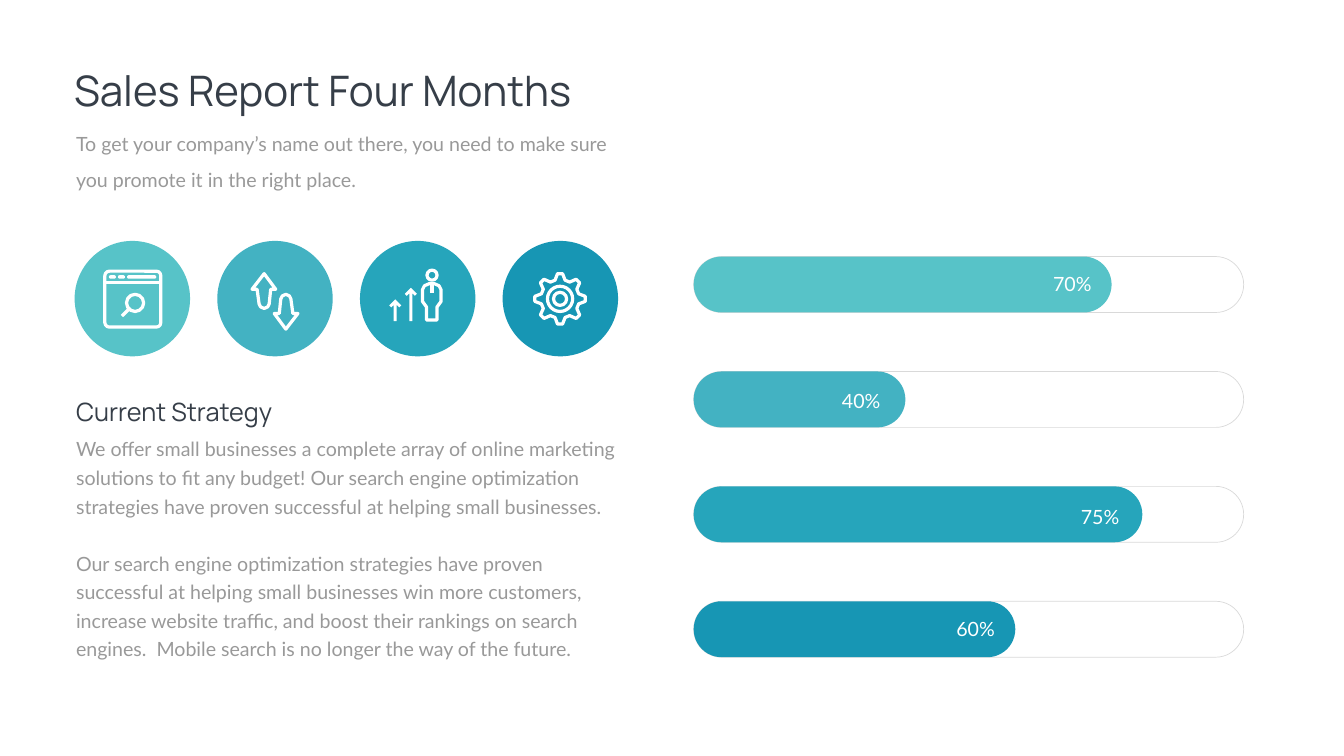
from math import cos, sin, pi
from lxml.etree import SubElement
from pptx import Presentation
from pptx.dml.color import RGBColor
from pptx.enum.shapes import MSO_CONNECTOR as LINK, MSO_SHAPE as KIND
from pptx.enum.text import MSO_AUTO_SIZE as FIT, PP_ALIGN as ALIGN
from pptx.oxml.ns import qn
from pptx.util import Inches, Pt

DARK = RGBColor(0x36, 0x3E, 0x48)
GREY = RGBColor(0x99, 0x99, 0x99)
RULE = RGBColor(0xD9, 0xD9, 0xD9)
WHITE = RGBColor(0xFF, 0xFF, 0xFF)
TEALS = [RGBColor(0x57, 0xC3, 0xC8), RGBColor(0x43, 0xB2, 0xC2),
         RGBColor(0x26, 0xA5, 0xBB), RGBColor(0x17, 0x96, 0xB4)]

# Content
HEAD = {"name": "Manrope", "size": Pt(60), "color": DARK}
SUB = {"name": "Manrope", "size": Pt(36), "color": DARK}
BODY = {"name": "Lato", "size": Pt(28), "color": GREY}
LABEL = {"name": "Lato", "size": Pt(28), "color": WHITE}
INTRO = ("To get your company’s name out there, you need to make sure "
         "you promote it in the right place.")
PLAN = [
    "We offer small businesses a complete array of online marketing solutions "
    "to fit any budget! Our search engine optimization strategies have proven "
    "successful at helping small businesses.",
    "Our search engine optimization strategies have proven successful at "
    "helping small businesses win more customers, increase website traffic, "
    "and boost their rankings on search engines.  Mobile search is no longer "
    "the way of the future.",
]
TEXTS = [  # box, paragraphs, font, paragraph format, wrap
    ((1.37, 1.23, 13.95, 1.11), ["Sales Report Four Months"], HEAD, {}, True),
    ((1.41, 2.34, 11.21, 1.42), [INTRO], BODY, {"line_spacing": 1.5}, True),
    ((1.41, 7.82, 4.43, 0.71), ["Current Strategy"], SUB, {}, False),
    ((1.41, 8.53, 10.91, 4.64), PLAN, BODY, {"line_spacing": Pt(40.8)}, True),
]
BARS = [  # label, bar width, label left, label top
    ("70%", 8.29, 20.46, 5.35),
    ("40%", 4.2, 16.27, 7.66),
    ("75%", 8.9, 21.01, 9.96),
    ("60%", 6.38, 18.54, 12.19),
]
BAR_X, BAR_Y, BAR_W, BAR_H, BAR_STEP = 13.76, 5.09, 10.91, 1.11, 2.28
DISC_X, DISC_Y, DISC, DISC_STEP = 1.48, 4.78, 2.29, 2.83
STROKE = 4.6

# Icon outlines
SHAFT = [(5.24, 5.43), (5.47, 5.74), (5.37, 5.74), (5.34, 6.03), (5.31, 6.09),
         (5.24, 6.12), (5.17, 6.09), (5.14, 6.03), (5.1, 5.74), (5, 5.74)]
COAT = [(8.51, 5.63), (8.62, 5.63), (8.71, 5.67), (8.75, 5.75), (8.75, 5.98),
        (8.67, 6.09), (8.67, 6.35), (8.46, 6.35), (8.46, 6.09), (8.38, 5.98),
        (8.38, 5.75), (8.42, 5.67)]
RISE = [(8.15, 5.71, 0.66), (7.84, 5.94, 0.43)]  # tip and height
TOOTH = [(-0.1, -0.37), (-0.05, -0.5), (0.05, -0.5), (0.1, -0.37)]
PILLS = [(2.16, 0.14), (2.34, 0.14), (2.52, 0.58)]  # left and width
RINGS = [(2.68, 6.01, 0.17), (8.57, 5.46, 0.1),
         (11.11, 5.93, 0.25), (11.11, 5.93, 0.13)]  # centre and radius

deck = Presentation()
deck.slide_width, deck.slide_height = Inches(26.66), Inches(15)
shapes = deck.slides.add_slide(deck.slide_layouts[6]).shapes


def paint(shape, fill=None, line=None, width=1):
    shape.shadow.inherit = False
    if fill is None:
        shape.fill.background()
    else:
        shape.fill.solid()
        shape.fill.fore_color.rgb = fill
    if line is None:
        shape.line.fill.background()
    else:
        shape.line.color.rgb = line
        shape.line.width = Pt(width)
        SubElement(shape._element.spPr.find(qn("a:ln")), qn("a:round"))


def add(kind, box, curve=None, **look):
    shape = shapes.add_shape(kind, *map(Inches, box))
    if curve is not None:
        shape.adjustments[0] = curve
    paint(shape, **look)


def trace(points, **look):
    first, *rest = [(Inches(x), Inches(y)) for x, y in points]
    pen = shapes.build_freeform(*first, scale=1.0)
    pen.add_line_segments(rest, close=True)
    paint(pen.convert_to_shape(), **look)


def rule(*ends):
    line = shapes.add_connector(LINK.STRAIGHT, *map(Inches, ends))
    line.line.color.rgb = WHITE
    line.line.width = Pt(STROKE)
    SubElement(line._element.spPr, qn("a:effectLst"))


def write(box, texts, font, form, wrap=True):
    frame = shapes.add_textbox(*map(Inches, box)).text_frame
    frame.word_wrap = wrap
    frame.auto_size = FIT.SHAPE_TO_FIT_TEXT
    for i, text in enumerate(texts):
        para = frame.add_paragraph() if i else frame.paragraphs[0]
        for key, value in form.items():
            setattr(para, key, value)
        if i:
            para.space_before = Pt(40.8)
        run = para.add_run()
        run.text = text
        for key, value in font.items():
            if key == "color":
                run.font.color.rgb = value
            else:
                setattr(run.font, key, value)


# Left column text
for item in TEXTS:
    write(*item)

# Progress bars
for i, (label, width, left, top) in enumerate(BARS):
    y = BAR_Y + i * BAR_STEP
    add(KIND.ROUNDED_RECTANGLE, (BAR_X, y, BAR_W, BAR_H), 0.5, line=RULE)
    add(KIND.ROUNDED_RECTANGLE, (BAR_X, y, width, BAR_H), 0.5, fill=TEALS[i])
    write((left, top, 1.29, 0.63), [label], LABEL, {"alignment": ALIGN.RIGHT})

# Icon discs
for i, teal in enumerate(TEALS):
    add(KIND.OVAL, (DISC_X + i * DISC_STEP, DISC_Y, DISC, DISC), fill=teal)

pen = {"line": WHITE, "width": STROKE}
for x, y, r in RINGS:
    add(KIND.OVAL, (x - r, y - r, 2 * r, 2 * r), **pen)

# Browser with search glass
add(KIND.ROUNDED_RECTANGLE, (2.08, 5.38, 1.11, 1.11), 0.08, **pen)
rule(2.08, 5.6, 3.19, 5.6)
rule(2.42, 6.27, 2.56, 6.13)
for x, width in PILLS:
    add(KIND.ROUNDED_RECTANGLE, (x, 5.46, width, 0.07), 0.5, fill=WHITE)

# Up and down arrows, one turned about the middle of the pair
trace(SHAFT, **pen)
trace([(10.91 - x, 11.96 - y) for x, y in SHAFT], **pen)

# Person with rising arrows
trace(COAT, **pen)
rule(8.57, 5.63, 8.57, 5.82)
for x, y, high in RISE:
    half = [(0, 0), (0.12, 0.12), (0.08, 0.16), (0.03, 0.11), (0.03, high)]
    both = half + [(-dx, dy) for dx, dy in half[:0:-1]]
    trace([(x + dx, y + dy) for dx, dy in both], fill=WHITE)

# Gear
turns = [i * pi / 4 for i in range(8)]
trace([(11.11 + x * cos(a) - y * sin(a), 5.93 + x * sin(a) + y * cos(a))
       for a in turns for x, y in TOOTH], **pen)

deck.save("out.pptx")
